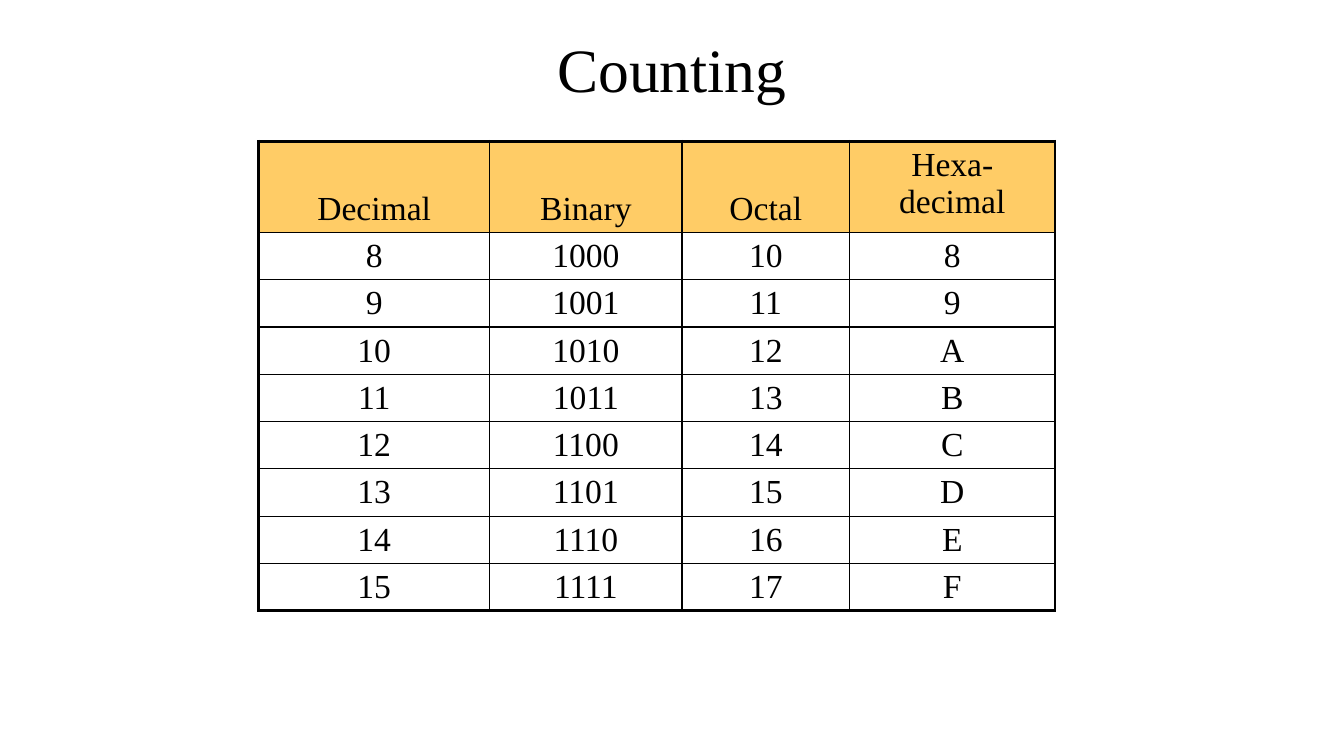
from pptx import Presentation
from pptx.dml.color import RGBColor
from pptx.enum.text import MSO_ANCHOR, PP_ALIGN
from pptx.oxml.ns import qn
from pptx.util import Cm, Pt
from lxml import etree

CENTER = PP_ALIGN.CENTER
TOP, MIDDLE, BOTTOM = MSO_ANCHOR.TOP, MSO_ANCHOR.MIDDLE, MSO_ANCHOR.BOTTOM
FONT = "Times New Roman"
BLACK, WHITE, AMBER = "000000", "FFFFFF", "FFCC66"
THIN, THICK = 1, 2.25

HEADERS = ["Decimal", "Binary", "Octal", "Hexa-\vdecimal"]
NUMBERS = range(8, 16)
COL_WIDTHS = [5.82, 4.85, 4.22, 5.18]
HEADER_HEIGHT, ROW_HEIGHT = 2.3, 1.19


def color(value):
    return RGBColor.from_string(value)


def write(p, text, size):
    """Add centred text; a vertical tab becomes a line break."""
    p.alignment = CENTER
    for i, part in enumerate(text.split("\v")):
        if i:
            p.add_line_break()
        r = p.add_run()
        r.text = part
        r.font.name = FONT
        r.font.size = Pt(size)
        r.font.color.rgb = color(BLACK)


def set_border(cell, side, width):
    """Draw one side of a cell; call before filling the cell."""
    ln = etree.SubElement(cell._tc.get_or_add_tcPr(), qn("a:" + side), w=str(Pt(width)))
    fill = etree.SubElement(ln, qn("a:solidFill"))
    etree.SubElement(fill, qn("a:srgbClr"), val=BLACK)


def add_title(s, text, left, top, width, height):
    sp = s.shapes.title
    sp.left, sp.top, sp.width, sp.height = Cm(left), Cm(top), Cm(width), Cm(height)
    tf = sp.text_frame
    tf.vertical_anchor = MIDDLE
    p = tf.paragraphs[0]
    p.line_spacing = 0.9
    write(p, text, 44)


def add_counting_table(s, left, top):
    rows = [HEADERS] + [[str(n), f"{n:b}", f"{n:o}", f"{n:X}"] for n in NUMBERS]
    heights = [HEADER_HEIGHT] + [ROW_HEIGHT] * len(NUMBERS)
    last_row, last_col = len(rows) - 1, len(HEADERS) - 1
    table = s.shapes.add_table(len(rows), len(HEADERS), Cm(left), Cm(top),
                               Cm(sum(COL_WIDTHS)), Cm(sum(heights))).table
    table.first_row = table.horz_banding = False
    for column, width in zip(table.columns, COL_WIDTHS):
        column.width = Cm(width)
    for row, height in zip(table.rows, heights):
        row.height = Cm(height)

    for i, texts in enumerate(rows):
        for j, text in enumerate(texts):
            cell = table.cell(i, j)
            # Thick outer frame, thin inner lines
            outer = {"lnL": j == 0, "lnR": j == last_col,
                     "lnT": i == 0, "lnB": i == last_row}
            for side, is_outer in outer.items():
                set_border(cell, side, THICK if is_outer else THIN)
            cell.fill.solid()
            cell.fill.fore_color.rgb = color(WHITE if i else AMBER)
            # One-line headers sit at the bottom of the header row
            cell.vertical_anchor = BOTTOM if i == 0 and j < last_col else TOP
            write(cell.text_frame.paragraphs[0], text, 24)


def main():
    prs = Presentation()
    prs.slide_width, prs.slide_height = Cm(33.87), Cm(19.05)
    s = prs.slides.add_slide(prs.slide_layouts[5])
    add_title(s, "Counting", 2.33, 0, 29.21, 3.68)
    add_counting_table(s, 6.52, 3.56)
    prs.save("out.pptx")


if __name__ == "__main__":
    main()
